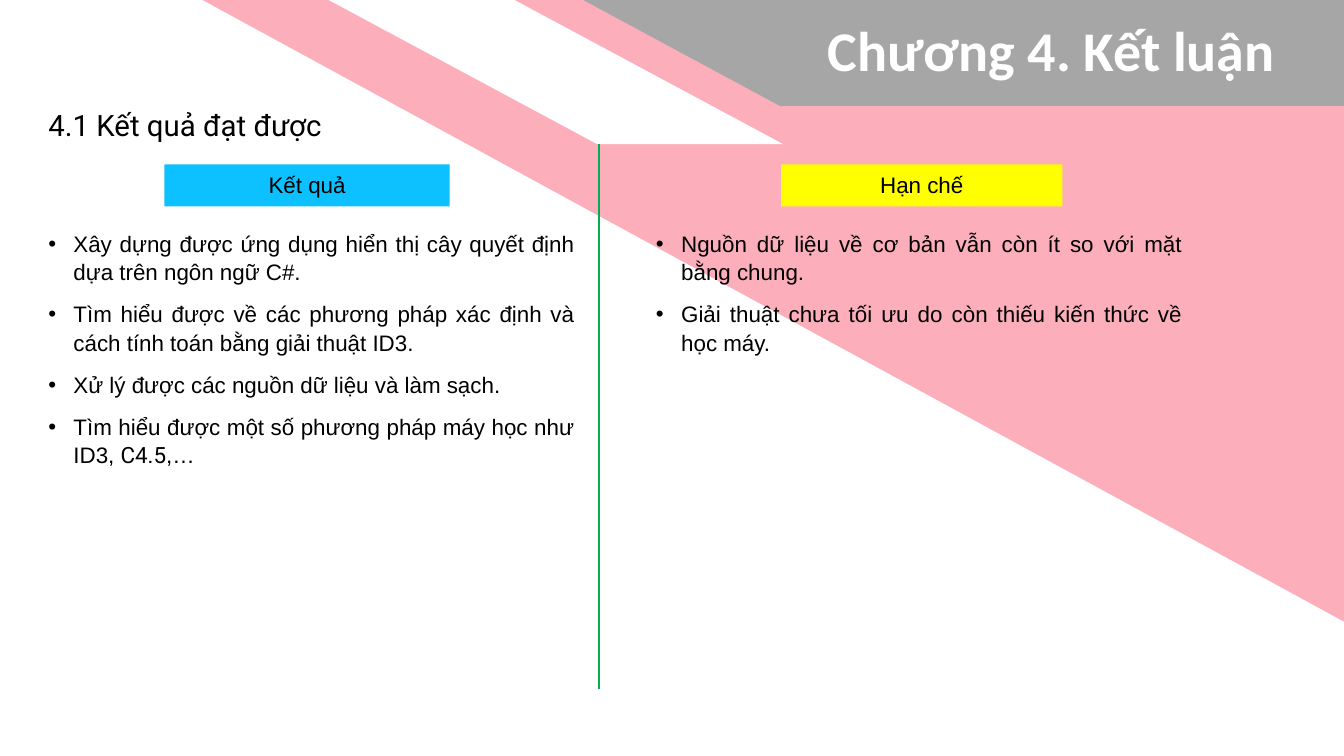
import pptx
import pptx.dml.color
import pptx.enum.shapes
import pptx.enum.text
import pptx.oxml.ns
import pptx.util
from lxml import etree

Pt = pptx.util.Pt
ALIGN = pptx.enum.text.PP_ALIGN
ANCHOR = pptx.enum.text.MSO_ANCHOR
PINK, WHITE, GRAY, BLACK = "FCAEBB", "FFFFFF", "A6A6A6", "000000"

RESULTS = [
    [("Xây dựng được ứng dụng hiển thị cây quyết định dựa trên ngôn ngữ C#.", "Arial")],
    [("Tìm hiểu được về các phương pháp xác định và cách tính toán bằng giải thuật ID3.", "Arial")],
    [("Xử lý được các nguồn dữ liệu và làm sạch.", "Arial")],
    [("Tìm hiểu được một số phương pháp máy học như ID3, ", "Arial"),
     ("C4.5", "Roboto"), (",…", "Arial")],
]
LIMITS = [
    [("Nguồn dữ liệu về cơ bản vẫn còn ít so với mặt bằng chung.", "Arial")],
    [("Giải thuật chưa tối ưu do còn thiếu kiến thức về học máy.", "Arial")],
]


def color(value):
    return pptx.dml.color.RGBColor.from_string(value)


def paint(shape, fill, line=None):
    shape.shadow.inherit = False
    shape.fill.solid()
    shape.fill.fore_color.rgb = color(fill)
    if line:
        shape.line.color.rgb = color(line)
        shape.line.width = Pt(1)
    else:
        shape.line.fill.background()


def add_polygon(slide, corners, fill, line=None):
    points = [(Pt(x), Pt(y)) for x, y in corners]
    builder = slide.shapes.build_freeform(*points[0], scale=1.0)
    builder.add_line_segments(points[1:], close=True)
    paint(builder.convert_to_shape(), fill, line)


def add_rectangle(slide, left, top, width, height, fill, line=None):
    shape = slide.shapes.add_shape(
        pptx.enum.shapes.MSO_SHAPE.RECTANGLE, Pt(left), Pt(top), Pt(width), Pt(height))
    paint(shape, fill, line)
    return shape


def add_text_box(slide, left, top, width, height, anchor=ANCHOR.TOP):
    box = slide.shapes.add_textbox(Pt(left), Pt(top), Pt(width), Pt(height))
    box.text_frame.word_wrap = True
    box.text_frame.vertical_anchor = anchor
    return box


def write(paragraph, parts, size, align, spacing, font_color=BLACK, bold=False):
    paragraph.alignment = align
    paragraph.line_spacing = spacing
    for text, font in parts:
        run = paragraph.add_run()
        run.text = text
        run.font.name = font
        run.font.size = Pt(size)
        run.font.bold = bold
        run.font.color.rgb = color(font_color)


def add_bullet(paragraph):
    properties = paragraph._p.get_or_add_pPr()
    properties.set("marL", str(Pt(18)))
    properties.set("indent", str(-Pt(18)))
    for tag, name, value in (("a:buFont", "typeface", "Arial"), ("a:buChar", "char", "•")):
        etree.SubElement(properties, pptx.oxml.ns.qn(tag)).set(name, value)


def add_label(slide, left, width, text, fill):
    label = add_rectangle(slide, left, 117.5, width, 30, fill)
    label.text_frame.vertical_anchor = ANCHOR.TOP
    write(label.text_frame.paragraphs[0], [(text, "Arial")], 16, ALIGN.CENTER, 1.05)


def add_bullet_list(slide, left, items):
    frame = add_text_box(slide, left, 160, 390, 338).text_frame
    for index, parts in enumerate(items):
        paragraph = frame.add_paragraph() if index else frame.paragraphs[0]
        write(paragraph, parts, 16, ALIGN.JUSTIFY, 1.05)
        paragraph.space_before = Pt(10)
        add_bullet(paragraph)


def add_divider(slide, x, top, bottom):
    line = slide.shapes.add_connector(
        pptx.enum.shapes.MSO_CONNECTOR.STRAIGHT, Pt(x), Pt(top), Pt(x), Pt(bottom))
    line.line.color.rgb = color("00B050")
    line.line.width = Pt(1.5)
    etree.SubElement(line._element.spPr, pptx.oxml.ns.qn("a:effectLst"))


def main():
    presentation = pptx.Presentation()
    presentation.slide_width = Pt(960)
    presentation.slide_height = Pt(540)
    slide = presentation.slides.add_slide(presentation.slide_layouts[6])

    # Diagonal background
    add_polygon(slide, [(144.7, 0), (960, 0), (960, 444)], PINK)
    add_polygon(slide, [(234.7, 0), (367.5, 0), (559.5, 103), (426.7, 103)], WHITE)

    # Chapter banner
    add_polygon(slide, [(417.6, 0), (558, 0), (558, 75.6)], GRAY, GRAY)
    add_rectangle(slide, 558, 0, 402, 75.6, GRAY, GRAY)
    title = add_text_box(slide, 541.5, 0, 418.5, 75.6, ANCHOR.MIDDLE)
    write(title.text_frame.paragraphs[0], [("Chương 4. Kết luận", "Calibri")],
          40, ALIGN.CENTER, 0.9, WHITE, True)

    # Section heading
    heading = add_text_box(slide, 27.4, 75.6, 597.6, 30)
    write(heading.text_frame.paragraphs[0], [("4.1 Kết quả đạt được", "Roboto")],
          21, ALIGN.JUSTIFY, 0.9)

    # Two columns with a divider
    add_divider(slide, 427.7, 103, 492.5)
    add_label(slide, 117.5, 203.8, "Kết quả", "0DC0FF")
    add_bullet_list(slide, 27.4, RESULTS)
    add_label(slide, 558, 200.9, "Hạn chế", "FFFF00")
    add_bullet_list(slide, 461.5, LIMITS)

    presentation.save("out.pptx")


if __name__ == "__main__":
    main()
